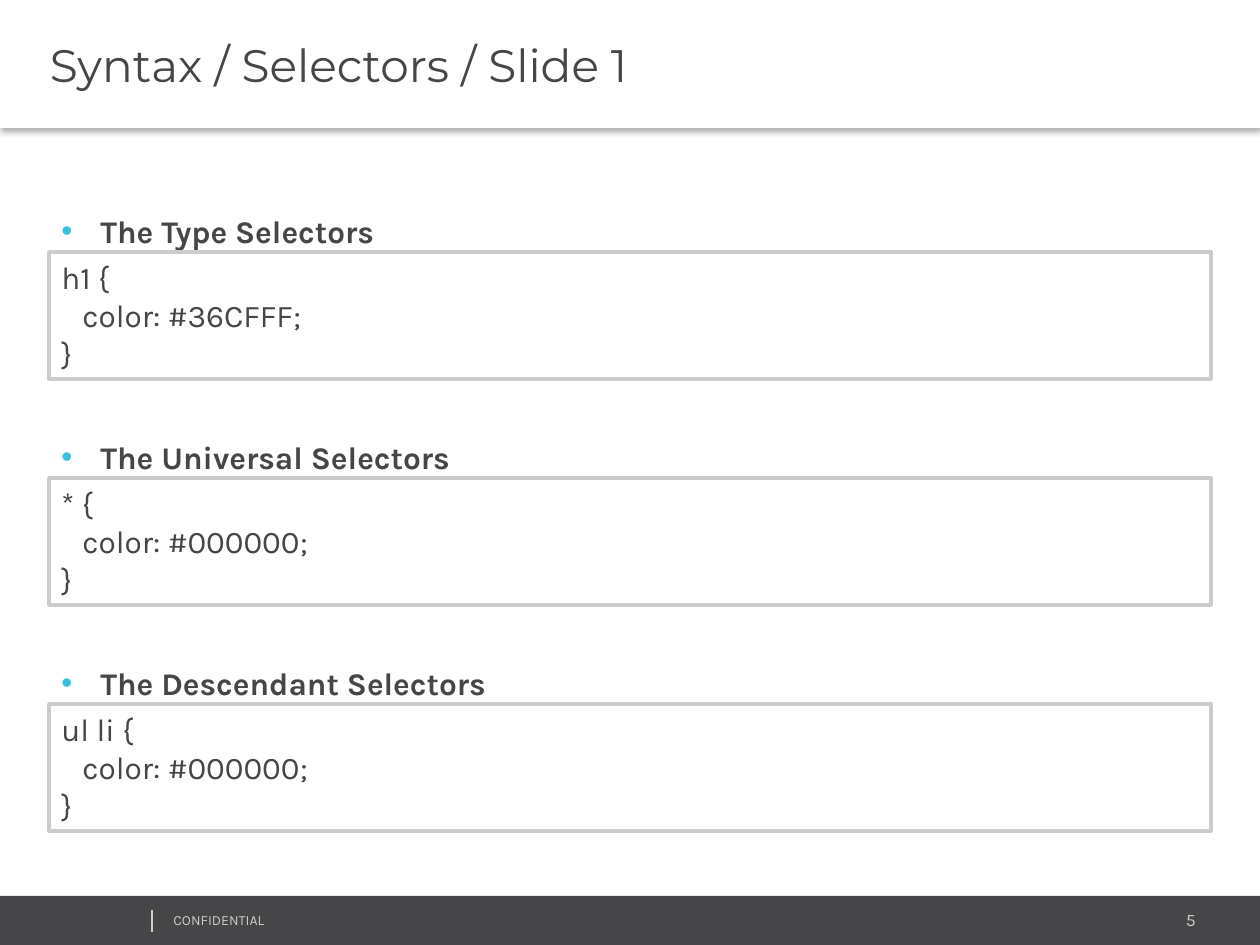
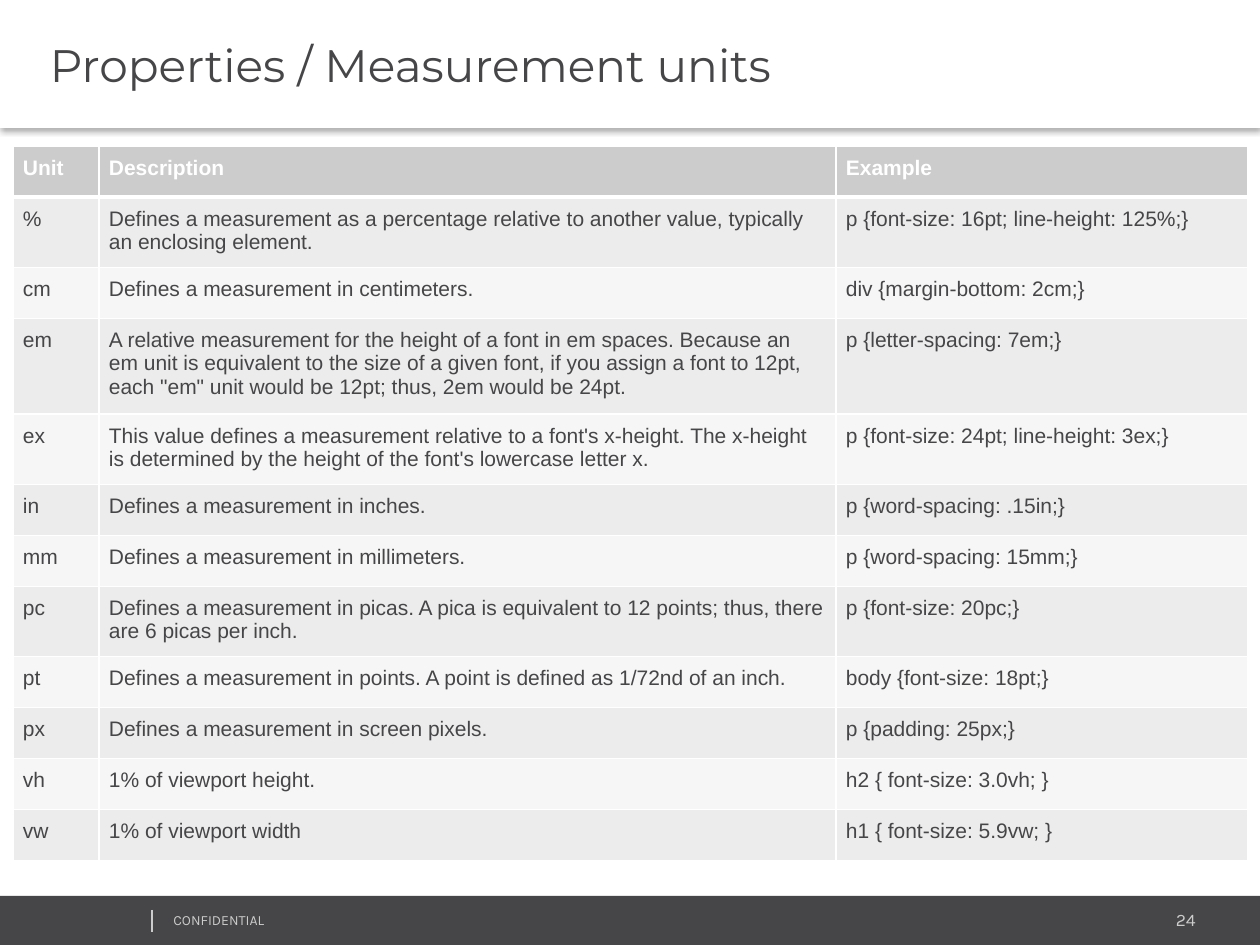
"""Build two CSS course slides: selector syntax and measurement units."""
from lxml.etree import SubElement
from pptx import Presentation
from pptx.dml.color import RGBColor
from pptx.enum.shapes import MSO_CONNECTOR as CONN, MSO_SHAPE as SHAPE
from pptx.enum.text import MSO_ANCHOR as ANCHOR, PP_ALIGN as ALIGN
from pptx.oxml import parse_xml
from pptx.oxml.ns import nsdecls, qn
from pptx.util import Pt

DARK = RGBColor(0x46, 0x45, 0x47)
GREY = RGBColor(0xCC, 0xCC, 0xCC)
WHITE = RGBColor(0xFF, 0xFF, 0xFF)
BAND_ODD = RGBColor(0xEC, 0xEC, 0xEC)
BAND_EVEN = RGBColor(0xF6, 0xF6, 0xF6)
BULLET = "39C2D7"

TITLES = [("Syntax / Selectors / Slide 1", "5"),
          ("Properties / Measurement units", "24")]
SELECTORS = [("The Type Selectors", "h1 {", "color: #36CFFF;"),
             ("The Universal Selectors", "* {", "color: #000000;"),
             ("The Descendant Selectors", "ul li {", "color: #000000;")]
UNITS = [
    ("Unit", "Description", "Example"),
    ("%", "Defines a measurement as a percentage relative to another value, "
     "typically an enclosing element.", "p {font-size: 16pt; line-height: 125%;}"),
    ("cm", "Defines a measurement in centimeters.", "div {margin-bottom: 2cm;}"),
    ("em", "A relative measurement for the height of a font in em spaces. "
     "Because an em unit is equivalent to the size of a given font, if you "
     "assign a font to 12pt, each \"em\" unit would be 12pt; thus, 2em would "
     "be 24pt.", "p {letter-spacing: 7em;}"),
    ("ex", "This value defines a measurement relative to a font's x-height. "
     "The x-height is determined by the height of the font's lowercase "
     "letter x.", "p {font-size: 24pt; line-height: 3ex;}"),
    ("in", "Defines a measurement in inches.", "p {word-spacing: .15in;}"),
    ("mm", "Defines a measurement in millimeters.", "p {word-spacing: 15mm;}"),
    ("pc", "Defines a measurement in picas. A pica is equivalent to 12 points; "
     "thus, there are 6 picas per inch.", "p {font-size: 20pc;}"),
    ("pt", "Defines a measurement in points. A point is defined as 1/72nd of "
     "an inch.", "body {font-size: 18pt;}"),
    ("px", "Defines a measurement in screen pixels.", "p {padding: 25px;}"),
    ("vh", "1% of viewport height.", "h2 { font-size: 3.0vh; }"),
    ("vw", "1% of viewport width", "h1 { font-size: 5.9vw; }"),
]


def px(n):
    return round(n * 914400 / 126)


def write(tf, text, size, color=DARK, font="Karla", bold=False, align=ALIGN.LEFT):
    tf.word_wrap = True
    tf.text = text
    for p in tf.paragraphs:
        p.alignment = align
        for r in p.runs:
            r.font.name = font
            r.font.size = Pt(size)
            r.font.bold = bold
            r.font.color.rgb = color


prs = Presentation()
prs.slide_width, prs.slide_height = px(1260), px(945)

for title, number in TITLES:
    s = prs.slides.add_slide(prs.slide_layouts[6])

    sp = s.shapes.add_shape(SHAPE.RECTANGLE, 0, px(896), px(1260), px(49))
    sp.shadow.inherit = False
    sp.fill.solid()
    sp.fill.fore_color.rgb = DARK
    sp.line.fill.background()

    sp = s.shapes.add_textbox(px(1003), px(903), px(205), px(34))
    write(sp.text_frame, number, 10, GREY, align=ALIGN.RIGHT)
    sp = s.shapes.add_textbox(px(161), px(905), px(319), px(30))
    write(sp.text_frame, "CONFIDENTIAL", 8, GREY)

    line = s.shapes.add_connector(CONN.STRAIGHT, px(152), px(910), px(152), px(932))
    line.line.color.rgb = GREY
    line.line.width = Pt(0.75)
    SubElement(line._element.spPr, qn("a:effectLst"))

    sp = s.shapes.add_shape(SHAPE.RECTANGLE, 0, 0, px(1260), px(128))
    sp.fill.solid()
    sp.fill.fore_color.rgb = WHITE
    sp.line.fill.background()
    sp.shadow.inherit = False
    sp._element.spPr.find(qn("a:effectLst")).append(parse_xml(
        f'<a:outerShdw {nsdecls("a")} blurRad="{Pt(3.1)}" dist="{Pt(2)}" '
        'dir="5400000" rotWithShape="0"><a:srgbClr val="000000">'
        '<a:alpha val="30000"/></a:srgbClr></a:outerShdw>'))
    write(sp.text_frame, title, 26, font="Montserrat")
    sp.text_frame.margin_left = px(50)
    sp.text_frame.vertical_anchor = ANCHOR.MIDDLE

selector_slide, unit_slide = prs.slides

for i, (heading, opening, rule) in enumerate(SELECTORS):
    top = 198 + 226 * i
    sp = selector_slide.shapes.add_textbox(px(49), px(top), px(1162), px(54))
    write(sp.text_frame, heading, 18, bold=True)
    p = sp.text_frame.paragraphs[0]
    p.line_spacing = 1.2
    pPr = p._p.get_or_add_pPr()
    pPr.set("marL", str(px(39)))
    pPr.set("indent", str(-px(39)))
    color = SubElement(pPr, qn("a:buClr"))
    SubElement(color, qn("a:srgbClr"), val=BULLET)
    SubElement(pPr, qn("a:buFont"), typeface="Arial")
    SubElement(pPr, qn("a:buChar"), char="•")

    sp = selector_slide.shapes.add_shape(
        SHAPE.RECTANGLE, px(49), px(top + 54), px(1162), px(127))
    sp.shadow.inherit = False
    sp.fill.solid()
    sp.fill.fore_color.rgb = WHITE
    sp.line.color.rgb = GREY
    sp.line.width = Pt(2)
    tf = sp.text_frame
    write(tf, f"{opening}\n{rule}\n}}", 18)
    tf.vertical_anchor = ANCHOR.TOP
    tf.paragraphs[1]._p.get_or_add_pPr().set("marL", str(px(21)))

table = unit_slide.shapes.add_table(
    len(UNITS), 3, px(13), px(146), px(1235), px(51 * len(UNITS))).table
for column, width in zip(table.columns, (86, 737, 412)):
    column.width = px(width)
for i, row in enumerate(UNITS):
    table.rows[i].height = px(51)
    header = i == 0
    fill = GREY if header else BAND_ODD if i % 2 else BAND_EVEN
    borders = {"lnL": 1, "lnR": 1, "lnT": 3 if i == 1 else 1, "lnB": 3 if header else 1}
    for j, text in enumerate(row):
        cell = table.cell(i, j)
        cell.margin_left = cell.margin_right = px(10)
        cell.margin_top = cell.margin_bottom = px(10)
        write(cell.text_frame, text, 12, WHITE if header else DARK, "Arial", header)
        cell.fill.solid()
        cell.fill.fore_color.rgb = fill
        tcPr = cell._tc.get_or_add_tcPr()
        for k, (side, width) in enumerate(borders.items()):
            tcPr.insert(k, parse_xml(
                f'<a:{side} {nsdecls("a")} w="{Pt(width)}"><a:solidFill>'
                f'<a:srgbClr val="{WHITE}"/></a:solidFill></a:{side}>'))

prs.save("out.pptx")
